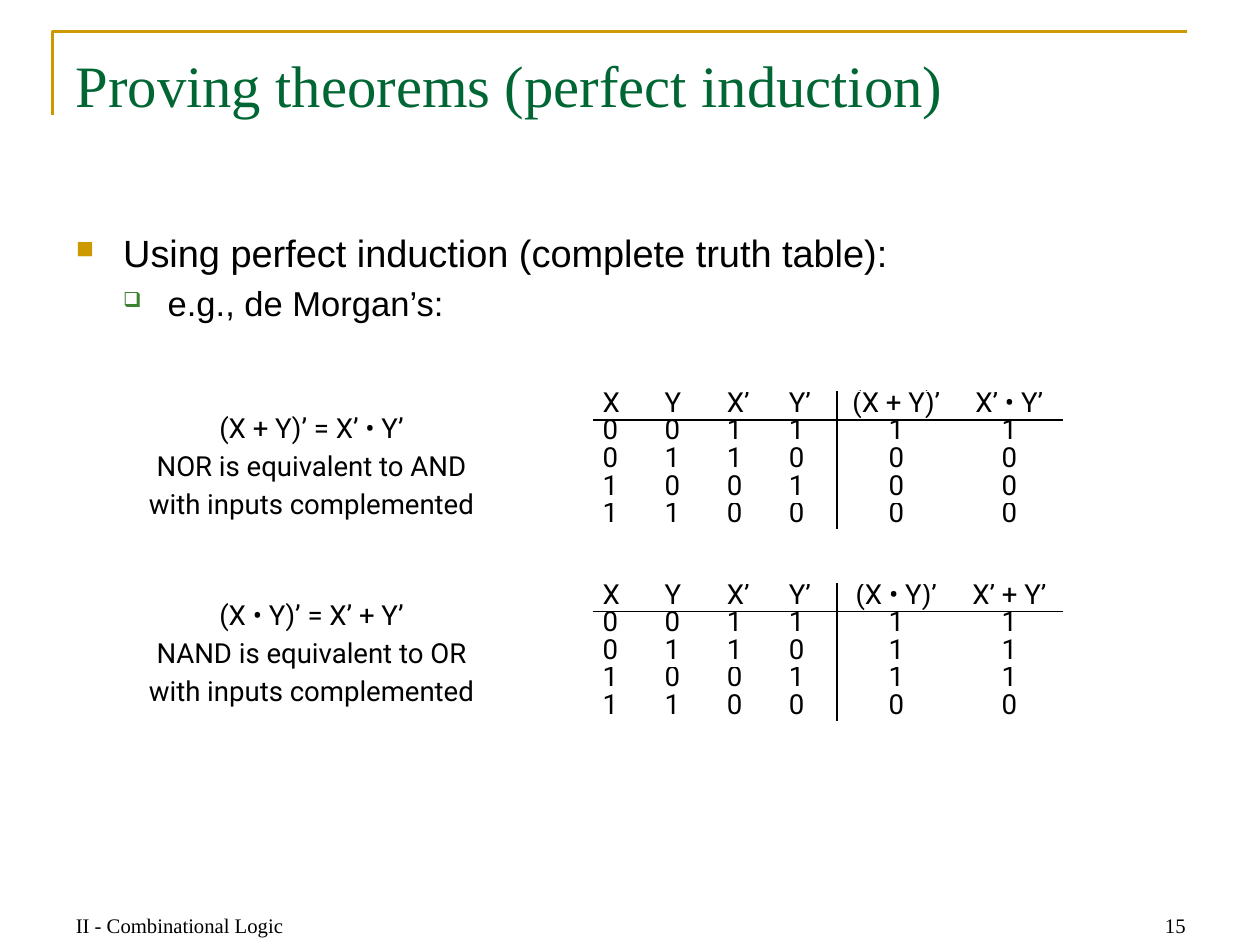
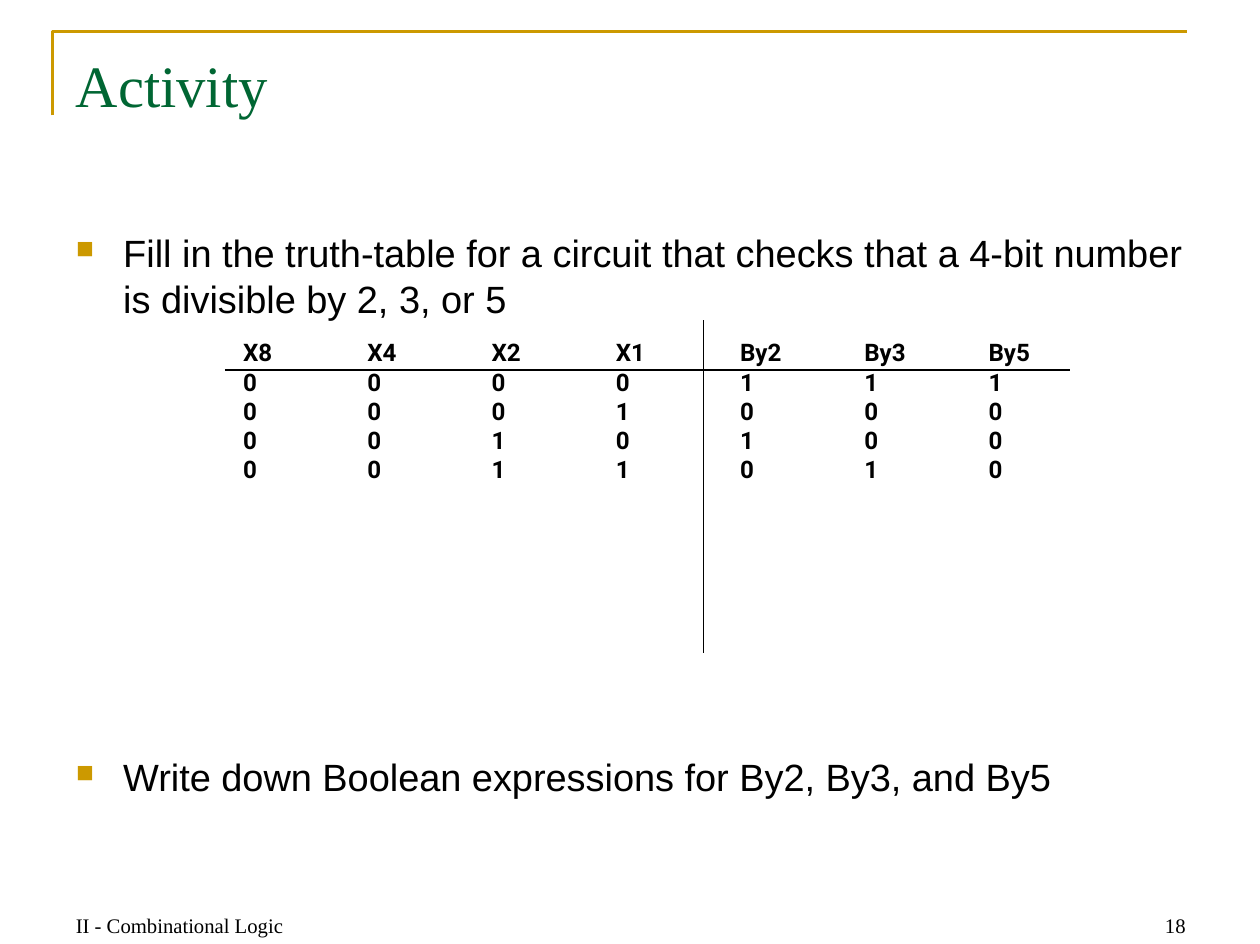
import pptx
import pptx.dml.color
import pptx.enum.shapes
import pptx.enum.text
import pptx.oxml.ns
import pptx.util
from lxml import etree

Cm = pptx.util.Cm
Pt = pptx.util.Pt
RGBColor = pptx.dml.color.RGBColor
ALIGN = pptx.enum.text.PP_ALIGN
ANCHOR = pptx.enum.text.MSO_ANCHOR
qn = pptx.oxml.ns.qn

BLACK = RGBColor(0x00, 0x00, 0x00)
GOLD = RGBColor(0xCC, 0x99, 0x00)
TITLE_GREEN = RGBColor(0x00, 0x66, 0x33)
BULLET_GREEN = RGBColor(0x3B, 0x81, 0x2F)

TITLE = dict(name="Times New Roman", size=Pt(34), color=TITLE_GREEN)
FOOTER = dict(name="Times New Roman", size=Pt(12), color=BLACK)
LOGIC = dict(name="Roboto", size=Pt(16), color=BLACK)
ACTIVITY = dict(name="Roboto", size=Pt(14), bold=True, color=BLACK)
# Per level: font, bullet sign, colour, size in percent, text indent, hanging indent
LEVELS = [
    (dict(name="Arial", size=Pt(22), color=BLACK), "■", GOLD, 65, 0.97, 0.97),
    (dict(name="Arial", size=Pt(20), color=BLACK), "❑", BULLET_GREEN, 60, 1.88, 0.91),
]

CONTENT_LEFT, CONTENT_WIDTH = 1.3, 23.16
INPUTS = ["0011", "0101"]


class Deck:
    """Holds the shared style and the slide being filled."""

    def __init__(self):
        self.prs = pptx.Presentation()
        self.prs.slide_width, self.prs.slide_height = Cm(25.76), Cm(19.3)
        self.slide = None

    def new_slide(self, title, number):
        self.slide = self.prs.slides.add_slide(self.prs.slide_layouts[6])
        self.bracket()
        self.text(CONTENT_LEFT, 0.87, CONTENT_WIDTH, 3.2, [title], TITLE)
        for left, words, align in ((CONTENT_LEFT, "II - Combinational Logic", ALIGN.LEFT),
                                   (18.47, number, ALIGN.RIGHT)):
            self.text(left, 18, 6.02, 1.3, [words], FOOTER, align, ANCHOR.BOTTOM)

    def bracket(self):
        outline = self.slide.shapes.build_freeform(Cm(1.07), Cm(2.36))
        outline.add_line_segments([(Cm(1.07), Cm(0.64)), (Cm(24.26), Cm(0.64))], close=False)
        shape = outline.convert_to_shape()
        shape.shadow.inherit = False
        shape.fill.background()
        shape.line.color.rgb = GOLD
        shape.line.width = Pt(1.5)

    def style(self, paragraph, font, align=ALIGN.LEFT, spacing=None):
        paragraph.alignment = align
        if spacing:
            paragraph.line_spacing = Pt(spacing)
        for key, value in font.items():
            if key == "color":
                paragraph.font.color.rgb = value
            else:
                setattr(paragraph.font, key, value)

    def text(self, left, top, width, height, lines, font,
             align=ALIGN.LEFT, anchor=ANCHOR.TOP, spacing=None):
        frame = self.slide.shapes.add_textbox(Cm(left), Cm(top), Cm(width), Cm(height)).text_frame
        frame.word_wrap = True
        frame.vertical_anchor = anchor
        for i, line in enumerate(lines):
            paragraph = frame.add_paragraph() if i else frame.paragraphs[0]
            paragraph.text = line
            self.style(paragraph, font, align, spacing)

    def bullets(self, top, height, items):
        frame = self.slide.shapes.add_textbox(
            Cm(CONTENT_LEFT), Cm(top), Cm(CONTENT_WIDTH), Cm(height)).text_frame
        frame.word_wrap = True
        for i, (level, words) in enumerate(items):
            font, sign, color, percent, indent, hanging = LEVELS[level]
            paragraph = frame.add_paragraph() if i else frame.paragraphs[0]
            paragraph.text = words
            paragraph.level = level
            props = paragraph._p.get_or_add_pPr()
            props.set("marL", str(Cm(indent)))
            props.set("indent", str(-Cm(hanging)))
            bullet_color = etree.SubElement(props, qn("a:buClr"))
            etree.SubElement(bullet_color, qn("a:srgbClr")).set("val", str(color))
            etree.SubElement(props, qn("a:buSzPct")).set("val", str(percent * 1000))
            etree.SubElement(props, qn("a:buChar")).set("char", sign)
            if i:
                paragraph.space_before = Pt(4)
            self.style(paragraph, font)

    def rule(self, x1, y1, x2, y2):
        line = self.slide.shapes.add_connector(
            pptx.enum.shapes.MSO_CONNECTOR.STRAIGHT, Cm(x1), Cm(y1), Cm(x2), Cm(y2))
        line.line.color.rgb = BLACK
        line.line.width = Pt(1)
        etree.SubElement(line._element.spPr, qn("a:effectLst"))

    def truth_table(self, left, top, widths, row_height, rows, font, spacing, margin, centered=()):
        table = self.slide.shapes.add_table(
            len(rows), len(widths), Cm(left), Cm(top),
            Cm(sum(widths)), Cm(row_height * len(rows))).table
        table.first_row = table.horz_banding = False
        for column, width in zip(table.columns, widths):
            column.width = Cm(width)
        for r, row in enumerate(rows):
            table.rows[r].height = Cm(row_height)
            for c, value in enumerate(row):
                cell = table.cell(r, c)
                cell.fill.background()
                middle = c in centered
                cell.margin_left = Cm(0 if middle else margin)
                cell.margin_right = cell.margin_top = cell.margin_bottom = 0
                cell.text = value
                self.style(cell.text_frame.paragraphs[0], font,
                           ALIGN.CENTER if middle else ALIGN.LEFT, spacing)


def induction_slide(deck):
    deck.new_slide("Proving theorems (perfect induction)", "15")
    deck.bullets(4.57, 2.2, [(0, "Using perfect induction (complete truth table):"),
                             (1, "e.g., de Morgan’s:")])

    # Each law beside its truth table
    laws = [
        ("(X + Y)’", "X’ • Y’", "NOR is equivalent to AND", "1000"),
        ("(X • Y)’", "X’ + Y’", "NAND is equivalent to OR", "1110"),
    ]
    widths = [1.27, 1.27, 1.27, 1.19, 2.41, 2.21]
    left = 12.12
    split = left + sum(widths[:4])
    for i, (law, equal, meaning, result) in enumerate(laws):
        deck.text(1.92, 8.18 + 3.83 * i, 8.9, 3.38,
                  [f"{law} = {equal}", meaning, "with inputs complemented"],
                  LOGIC, ALIGN.CENTER, spacing=22)
        top = 8 + 3.92 * i
        rows = [["X", "Y", "X’", "Y’", law, equal],
                *zip(*INPUTS, "1100", "1010", result, result)]
        deck.truth_table(left, top, widths, 0.56, rows, LOGIC, 16, 0.2, centered=(4, 5))
        deck.rule(left, top + 0.58, left + sum(widths), top + 0.58)
        deck.rule(split, top, split, top + 2.82)


def activity_slide(deck):
    deck.new_slide("Activity", "18")
    deck.bullets(4.57, 2.2, [(0, "Fill in the truth-table for a circuit that checks that a 4-bit "
                                 "number is divisible by 2, 3, or 5")])

    # Start of the table, with room below for the remaining rows
    left, column = 4.22, 2.54
    split = left + 4 * column
    rows = [["X8", "X4", "X2", "X1", "By2", "By3", "By5"],
            *zip("0000", "0000", *INPUTS, "1010", "1001", "1000")]
    deck.truth_table(left, 6.93, [column] * 7, 0.59, rows, ACTIVITY, 16.8, 0.75)
    deck.rule(split, 6.55, split, 13.36)
    deck.rule(4.6, 7.57, 21.87, 7.57)

    deck.bullets(15.28, 1.2, [(0, "Write down Boolean expressions for By2, By3, and By5")])


def main():
    deck = Deck()
    induction_slide(deck)
    activity_slide(deck)
    deck.prs.save("out.pptx")


if __name__ == "__main__":
    main()
